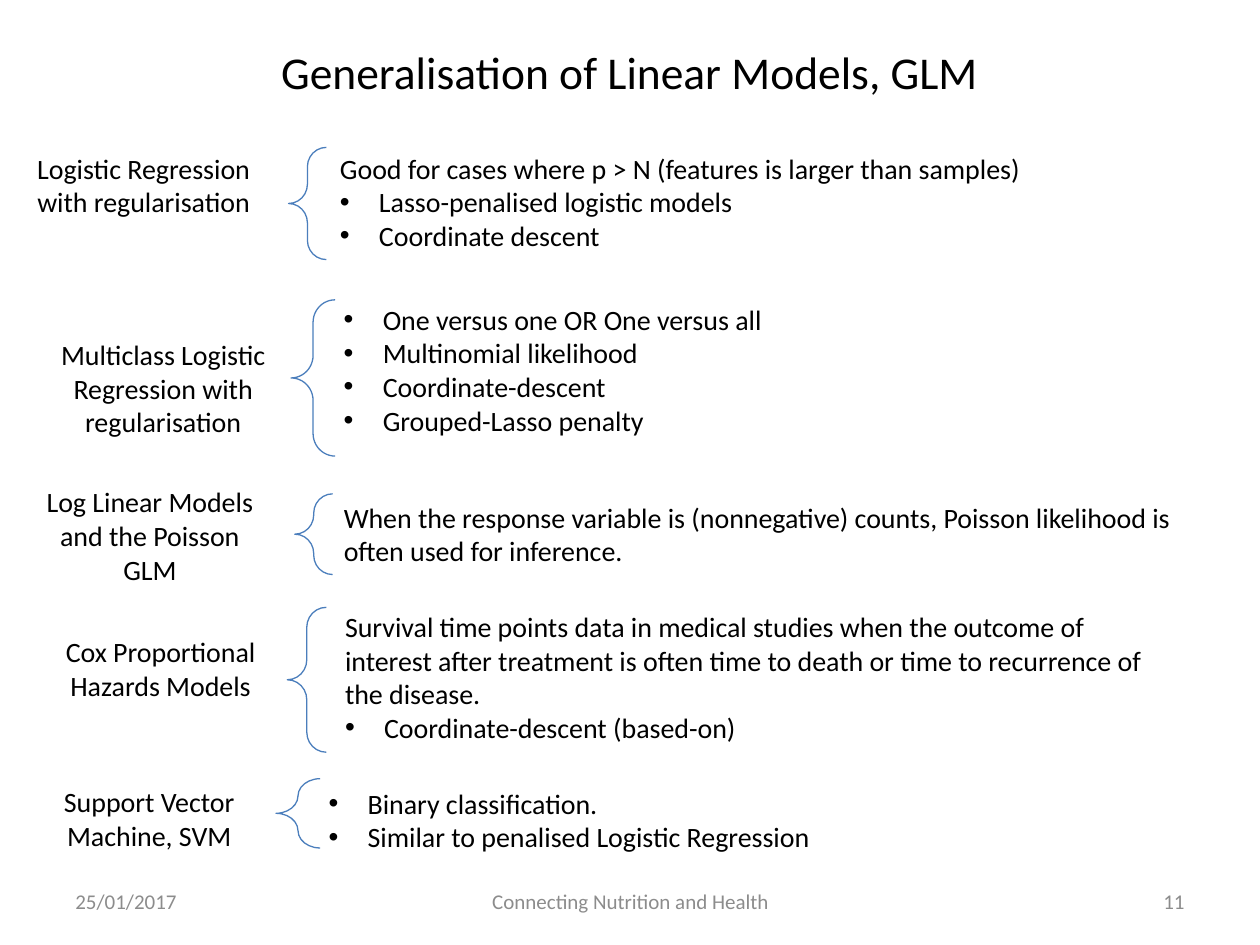
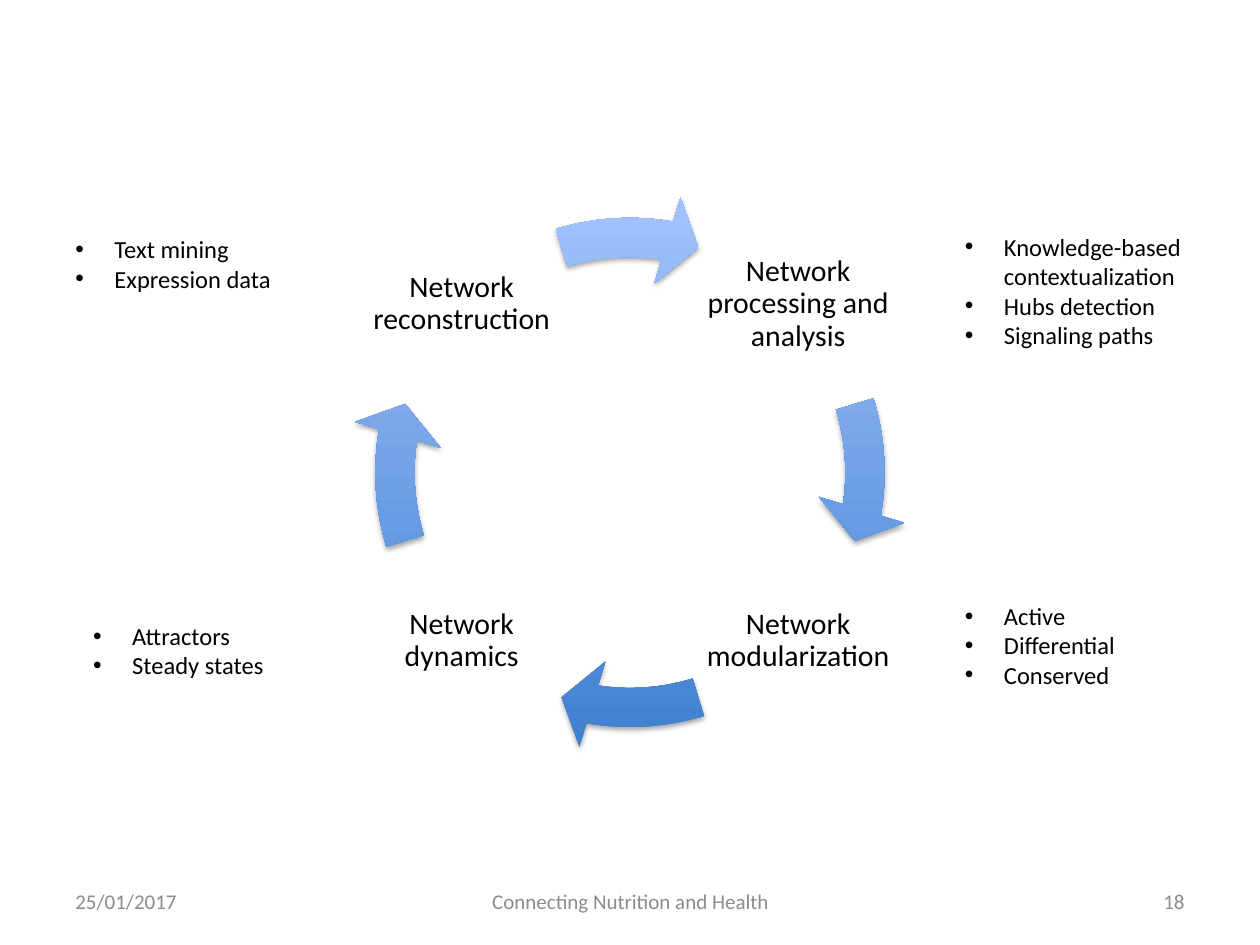
from dataclasses import dataclass

from lxml.etree import SubElement
from pptx import Presentation
from pptx.dml.color import RGBColor
from pptx.enum.shapes import MSO_SHAPE
from pptx.enum.text import MSO_ANCHOR, PP_ALIGN
from pptx.oxml.ns import qn
from pptx.slide import Slide
from pptx.text.text import TextFrame
from pptx.util import Inches, Pt

COLS, ROWS = 100, 75
CELL = Inches(10) / COLS
FONT = "Calibri"
BLACK, GREY, BRACE_BLUE = "000000", "8C8C8C", "4B7EBC"
ARROW_DARK, ARROW_LIGHT = "3F7FCE", "A4C4FF"
INDENT = Inches(0.31)
FULL_TURN, QUARTER = 216, 54  # adjustment units: 100000 / 60000 of a degree

Box = tuple[float, float, float, float]  # column, row, columns, rows


@dataclass(frozen=True)
class Model:
    name: str
    name_box: Box
    brace_box: Box
    detail_box: Box
    intro: str = ""
    bullets: tuple[str, ...] = ()


@dataclass(frozen=True)
class Stage:
    name: str
    column: float
    row: float
    detail_box: Box
    bullets: tuple[str, ...]


MODELS = (
    Model("Logistic Regression with regularisation",
          (1.4, 11.5, 20, 6.4), (22.9, 11.7, 3, 8.9), (26, 11.5, 73, 9.1),
          "Good for cases where p > N (features is larger than samples)",
          ("Lasso-penalised logistic models", "Coordinate descent")),
    Model("Multiclass Logistic Regression with regularisation",
          (1.9, 26.3, 22.1, 9.1), (23.1, 23.8, 3.5, 12.4), (26.3, 23.5, 68.7, 11.8),
          bullets=("One versus one OR One versus all", "Multinomial likelihood",
                   "Coordinate-descent", "Grouped-Lasso penalty")),
    Model("Log Linear Models and the Poisson GLM",
          (2.1, 38, 19.6, 9.1), (23.4, 39.2, 3, 6.4), (26.3, 39.2, 67.9, 6.4),
          "When the response variable is (nonnegative) counts, "
          "Poisson likelihood is often used for inference."),
    Model("Cox Proportional Hazards Models",
          (2.7, 49.9, 20.1, 6.4), (22.8, 48.2, 3.1, 11.5), (26.4, 47.9, 67.6, 11.8),
          "Survival time points data in medical studies when the outcome of interest "
          "after treatment is often time to death or time to recurrence of the disease.",
          ("Coordinate-descent (based-on)",)),
    Model("Support Vector Machine, SVM",
          (0.8, 61.8, 22.1, 6.4), (21.9, 61.8, 3.5, 5.5), (25.1, 61.9, 67.6, 6.4),
          bullets=("Binary classification.", "Similar to penalised Logistic Regression")),
)

LEFT, RIGHT, TOP, BOTTOM = 28.8, 55.5, 16.3, 43
STAGE_SIZE = 15.7
CYCLE_BOX = (27.8, 15.3, 44.4, 44.4)
STAGES = (  # clockwise, each with the arrow that leads to it
    Stage("Network processing and analysis", RIGHT, TOP, (75.6, 17.9, 21.2, 12.8),
          ("Knowledge-based contextualization", "Hubs detection", "Signaling paths")),
    Stage("Network modularization", RIGHT, BOTTOM, (75.6, 47.2, 16.9, 10.4),
          ("Active", "Differential", "Conserved")),
    Stage("Network dynamics", LEFT, BOTTOM, (6.4, 48.8, 17.1, 5.7),
          ("Attractors", "Steady states")),
    Stage("Network reconstruction", LEFT, TOP, (5, 18.1, 18.5, 8.1),
          ("Text mining", "Expression data")),
)


def rgb(color: str) -> RGBColor:
    return RGBColor.from_string(color)


def place(box: Box) -> list[int]:
    """Turn grid units into slide lengths."""
    return [round(v * CELL) for v in box]


def add_paragraph(tf: TextFrame, text: str, size: float, color: str = BLACK,
                  align: PP_ALIGN = PP_ALIGN.LEFT, bullet: bool = False):
    """Write into the empty first paragraph, or into a new one after it."""
    first = tf.paragraphs[0]
    p = tf.add_paragraph() if first.runs else first
    p.alignment = align
    if bullet:
        pPr = p._p.get_or_add_pPr()
        pPr.set("marL", str(INDENT))
        pPr.set("indent", str(-INDENT))
        SubElement(pPr, qn("a:buFont")).set("typeface", "Arial")
        SubElement(pPr, qn("a:buChar")).set("char", "•")
    r = p.add_run()
    r.text = text
    r.font.name, r.font.size, r.font.color.rgb = FONT, Pt(size), rgb(color)
    return p


def add_frame(s: Slide, box: Box, anchor: MSO_ANCHOR = MSO_ANCHOR.TOP) -> TextFrame:
    tf = s.shapes.add_textbox(*place(box)).text_frame
    tf.word_wrap = True
    tf.vertical_anchor = anchor
    return tf


def add_details(s: Slide, box: Box, size: float, intro: str, bullets: tuple[str, ...]) -> None:
    tf = add_frame(s, box)
    if intro:
        add_paragraph(tf, intro, size)
    for text in bullets:
        add_paragraph(tf, text, size, bullet=True)


def add_footer(s: Slide, number: int) -> None:
    for text, column, width, align in (
        ("25/01/2017", 5, 23.3, PP_ALIGN.LEFT),
        ("Connecting Nutrition and Health", 34.2, 31.7, PP_ALIGN.CENTER),
        (str(number), 71.7, 23.3, PP_ALIGN.RIGHT),
    ):
        tf = add_frame(s, (column, 69.5, width, 4), MSO_ANCHOR.MIDDLE)
        add_paragraph(tf, text, 12, GREY, align)


def add_brace(s: Slide, box: Box) -> None:
    sp = s.shapes.add_shape(MSO_SHAPE.LEFT_BRACE, *place(box))
    sp.shadow.inherit = False
    sp.fill.background()
    sp.line.color.rgb = rgb(BRACE_BLUE)
    sp.line.width = Pt(0.75)
    sp.adjustments[0] = 0.51


def add_cycle_arrow(s: Slide, quarter: int) -> None:
    """Draw one arc of the cycle, turned clockwise by a number of quarters."""
    sp = s.shapes.add_shape(MSO_SHAPE.CIRCULAR_ARROW, *place(CYCLE_BOX))
    turn = quarter * QUARTER
    for i, value in enumerate((0.07, 4.65, 5.51 + turn, (205.84 + turn) % FULL_TURN, 0.08)):
        sp.adjustments[i] = value
    sp.line.fill.background()
    sp.fill.gradient()
    sp.fill.gradient_angle = 90
    for stop, color in zip(sp.fill.gradient_stops, (ARROW_DARK, ARROW_LIGHT)):
        stop.color.rgb = rgb(color)
    sp.shadow.inherit = False
    effects = sp._element.spPr.find(qn("a:effectLst"))
    shadow = SubElement(effects, qn("a:outerShdw"), blurRad=str(Pt(3.1)), dist=str(Pt(1.8)),
                        dir="5400000", rotWithShape="0")
    tint = SubElement(shadow, qn("a:srgbClr"), val=BLACK)
    SubElement(tint, qn("a:alpha"), val="35000")


def add_stage_name(s: Slide, stage: Stage) -> None:
    tf = add_frame(s, (stage.column, stage.row, STAGE_SIZE, STAGE_SIZE), MSO_ANCHOR.MIDDLE)
    tf.margin_left = tf.margin_right = tf.margin_top = tf.margin_bottom = Inches(0.02)
    p = add_paragraph(tf, stage.name, 17, align=PP_ALIGN.CENTER)
    p.line_spacing = 0.9
    p.space_after = Pt(6)


def build_models(s: Slide) -> None:
    add_paragraph(add_frame(s, (5, 3, 90, 8.7)), "Generalisation of Linear Models, GLM",
                  26, align=PP_ALIGN.CENTER)
    for m in MODELS:
        add_paragraph(add_frame(s, m.name_box), m.name, 16, align=PP_ALIGN.CENTER)
        add_brace(s, m.brace_box)
        add_details(s, m.detail_box, 16, m.intro, m.bullets)


def build_cycle(s: Slide) -> None:
    for quarter, stage in enumerate(STAGES):
        add_stage_name(s, stage)
        add_cycle_arrow(s, quarter)
        add_details(s, stage.detail_box, 14, "", stage.bullets)


def main() -> None:
    prs = Presentation()
    prs.slide_width, prs.slide_height = round(COLS * CELL), round(ROWS * CELL)
    for build, number in ((build_models, 11), (build_cycle, 18)):
        s = prs.slides.add_slide(prs.slide_layouts[6])
        build(s)
        add_footer(s, number)
    prs.save("out.pptx")


if __name__ == "__main__":
    main()
